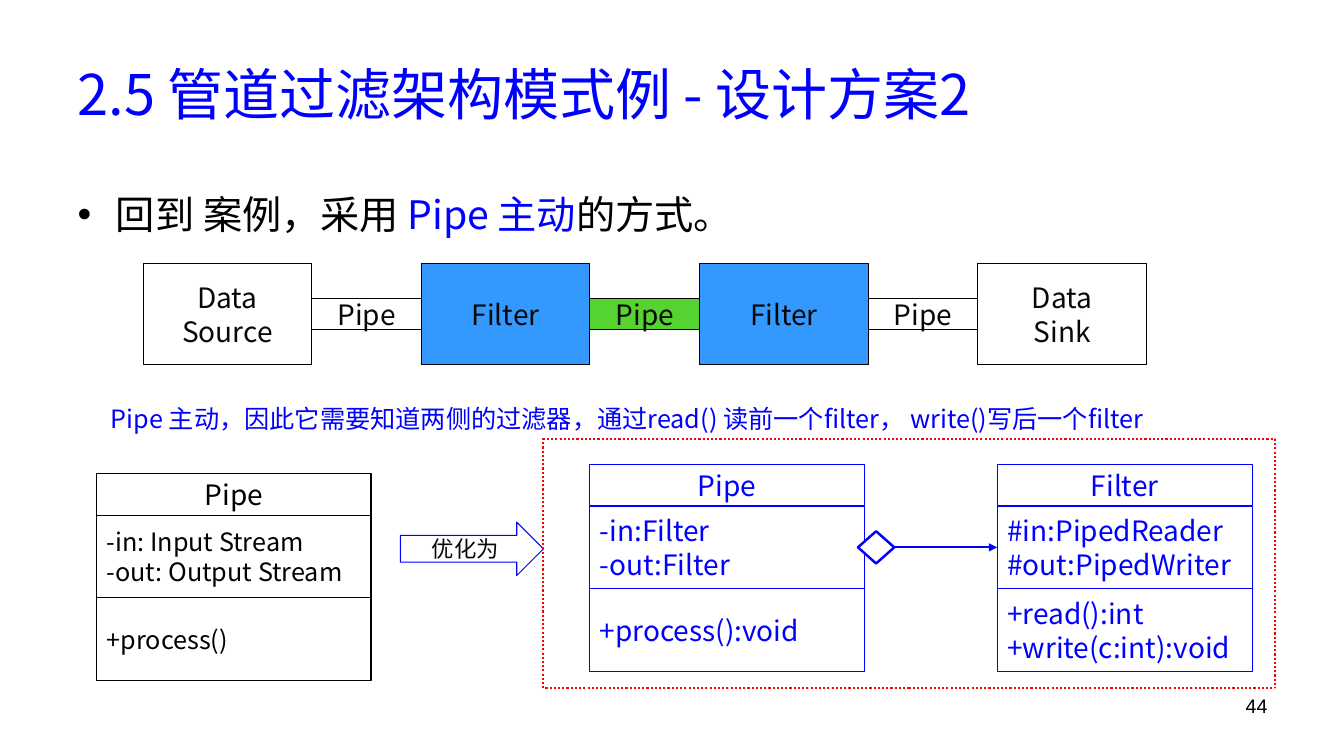
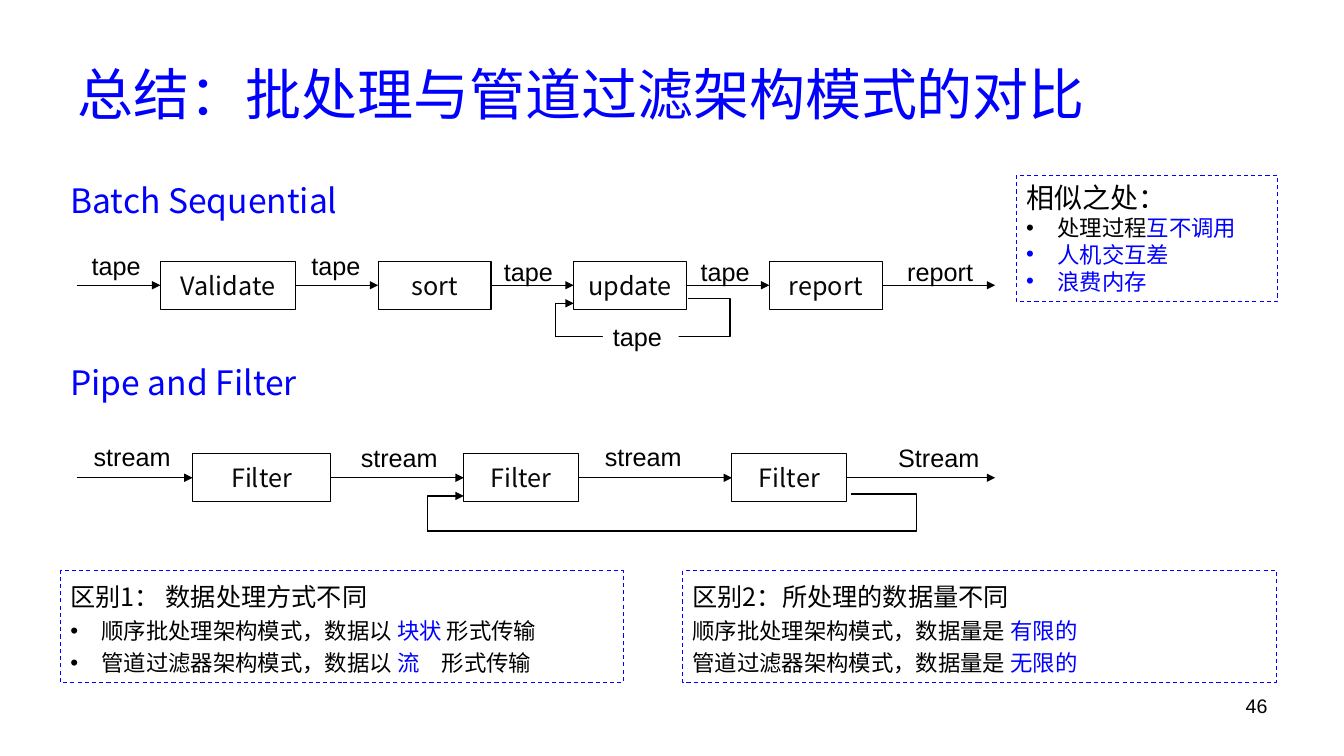
import pptx
import pptx.dml.color
import pptx.enum.dml
import pptx.enum.shapes
import pptx.enum.text
import pptx.oxml
import pptx.oxml.ns
import pptx.util
from pptx.util import Inches

CJK_FONT = "Noto Sans CJK SC"
LATIN_FONT = "Arial"
BLUE, BLACK, INK, WHITE = "0000FF", "000000", "080808", "FFFFFF"
FILTER_BLUE, PIPE_GREEN, RED = "3399FF", "55D331", "FF0000"

SHAPE = pptx.enum.shapes.MSO_SHAPE
CONNECTOR = pptx.enum.shapes.MSO_CONNECTOR
ALIGN = pptx.enum.text.PP_ALIGN
ANCHOR = pptx.enum.text.MSO_ANCHOR
DASH = pptx.enum.dml.MSO_LINE
TOP, LEFT, BOTTOM, RIGHT = range(4)


def apply(target, values):
    for name, value in values.items():
        setattr(target, name, value)


def place(shape, left, top, width, height):
    apply(shape, {"left": Inches(left), "top": Inches(top),
                  "width": Inches(width), "height": Inches(height)})


def rgb(color):
    return pptx.dml.color.RGBColor.from_string(color)


def add_element(parent, tag, **attributes):
    element = parent.makeelement(pptx.oxml.ns.qn(tag), attributes)
    parent.append(element)
    return element


def add_bullet(paragraph, indent):
    properties = paragraph._p.get_or_add_pPr()
    properties.set("marL", str(Inches(indent)))
    properties.set("indent", str(-Inches(indent)))
    add_element(properties, "a:buFont", typeface=LATIN_FONT)
    add_element(properties, "a:buChar", char="•")


def add_run(paragraph, text, size, color, font):
    run = paragraph.add_run()
    run.text = text
    apply(run.font, {"name": font, "size": pptx.util.Pt(size)})
    run.font.color.rgb = rgb(color)
    add_element(run._r.get_or_add_rPr(), "a:ea", typeface=font)


def write_text(shape, paragraphs, size, color, font=CJK_FONT, align=ALIGN.LEFT,
               anchor=ANCHOR.MIDDLE, spacing=1.0):
    """Fill a shape; a paragraph is a string or a dict with runs, size and indent.

    A run is a string in the common colour or a (text, colour) pair.
    """
    frame = shape.text_frame
    apply(frame, {"word_wrap": True, "vertical_anchor": anchor,
                  "auto_size": pptx.enum.text.MSO_AUTO_SIZE.NONE})
    for index, content in enumerate(paragraphs):
        if isinstance(content, str):
            content = {"runs": [content]}
        paragraph = frame.add_paragraph() if index else frame.paragraphs[0]
        apply(paragraph, {"alignment": align, "line_spacing": spacing,
                          "space_before": pptx.util.Pt(0)})
        if "indent" in content:
            add_bullet(paragraph, content["indent"])
        for run in content["runs"]:
            text, run_color = (run, color) if isinstance(run, str) else run
            add_run(paragraph, text, content.get("size", size), run_color, font)


def add_text(slide, box, text, size, color, font=CJK_FONT, align=ALIGN.LEFT):
    shape = slide.shapes.add_textbox(*map(Inches, box))
    write_text(shape, [text], size, color, font, align, ANCHOR.TOP)
    return shape


def add_box(slide, box, fill=WHITE, line=BLACK, line_width=0.75, dash=None,
            kind=SHAPE.RECTANGLE):
    shape = slide.shapes.add_shape(kind, *map(Inches, box))
    shape.shadow.inherit = False
    if fill:
        shape.fill.solid()
        shape.fill.fore_color.rgb = rgb(fill)
    else:
        shape.fill.background()
    shape.line.color.rgb = rgb(line)
    apply(shape.line, {"width": pptx.util.Pt(line_width), "dash_style": dash})
    return shape


def add_label_box(slide, box, lines, size, color=INK, **style):
    shape = add_box(slide, box, **style)
    write_text(shape, lines, size, color, align=ALIGN.CENTER)
    return shape


def add_connector(slide, start, end, color=BLACK, width=1, arrow=True,
                  kind=CONNECTOR.STRAIGHT):
    connector = slide.shapes.add_connector(kind, *map(Inches, (*start, *end)))
    connector.line.color.rgb = rgb(color)
    connector.line.width = pptx.util.Pt(width)
    if arrow:
        add_element(connector.line._get_or_add_ln(), "a:tailEnd", type="triangle")
    add_element(connector._element.spPr, "a:effectLst")
    return connector


def add_elbow(slide, start, end, via_x, arrow):
    """Draw an elbow whose vertical leg runs at via_x."""
    connector = add_connector(slide, start, end, arrow=arrow, kind=CONNECTOR.ELBOW)
    share = round((via_x - start[0]) / (end[0] - start[0]) * 100000)
    geometry = connector._element.spPr.find(pptx.oxml.ns.qn("a:prstGeom"))
    guides = geometry.find(pptx.oxml.ns.qn("a:avLst"))
    add_element(guides, "a:gd", name="adj1", fmla=f"val {share}")


def add_feedback(slide, start, right, bottom, left, end):
    """Lead an arrow out to the right, back below the boxes and into an earlier one."""
    corner = (left, bottom)
    add_elbow(slide, start, corner, right, arrow=False)
    add_elbow(slide, corner, end, left, arrow=True)


def add_class(slide, left, top, width, name, attributes, operations, color, size):
    """Draw a UML class and return its attribute compartment."""
    name_height, member_height = 0.41, 0.82
    add_label_box(slide, (left, top, width, name_height), [name], 20, color, line=color)
    compartments = []
    for index, members in enumerate((attributes, operations)):
        member_top = top + name_height + index * member_height
        shape = add_box(slide, (left, member_top, width, member_height), line=color)
        write_text(shape, members, size, color)
        compartments.append(shape)
    return compartments[0]


def add_flow(slide, top, steps, labels):
    """Draw a row of joined boxes with arrows in and out, and label the arrows."""
    height, start_x, end_x = 0.48, 0.76, 9.87
    middle = top + height / 2
    boxes = [add_label_box(slide, (left, top, width, height), [name], 18)
             for name, left, width in steps]
    for before, after in zip([None, *boxes], [*boxes, None]):
        connector = add_connector(slide, (start_x, middle), (end_x, middle))
        if before:
            connector.begin_connect(before, RIGHT)
        if after:
            connector.end_connect(after, LEFT)
    for text, left, label_top in labels:
        add_text(slide, (left, label_top, 1.1, 0.4), text, 18, BLACK, LATIN_FONT)


def add_note(slide, box, heading, heading_size, points, spacing=1.0, indent=None):
    shape = add_box(slide, box, fill=None, line=BLUE, dash=DASH.DASH)
    bullet = {"indent": indent} if indent else {}
    paragraphs = [{"runs": [heading], "size": heading_size}]
    paragraphs += [{"runs": runs, **bullet} for runs in points]
    write_text(shape, paragraphs, 16, BLACK, anchor=ANCHOR.TOP, spacing=spacing)


def add_slide(presentation, layout, title, number):
    slide = presentation.slides.add_slide(presentation.slide_layouts[layout])
    place(slide.shapes.title, 0.67, 0.3, 12, 1.25)
    write_text(slide.shapes.title, [title], 40, BLUE)
    add_text(slide, (9.56, 6.83, 3.11, 0.52), str(number), 14, BLACK,
             LATIN_FONT, ALIGN.RIGHT)
    return slide


def add_pipeline(slide):
    left, top, node_width, node_height = 1.42, 2.61, 1.67, 1.01
    pipe_width, pipe_height = 1.09, 0.3
    nodes = [(["Data", "Source"], WHITE), (["Filter"], FILTER_BLUE),
             (["Filter"], FILTER_BLUE), (["Data", "Sink"], WHITE)]
    for index, (lines, fill) in enumerate(nodes):
        node_left = left + index * (node_width + pipe_width)
        add_label_box(slide, (node_left, top, node_width, node_height), lines, 20,
                      fill=fill)
    pipe_top = top + (node_height - pipe_height) / 2
    for index, fill in enumerate((WHITE, PIPE_GREEN, WHITE)):
        pipe_left = left + node_width + index * (node_width + pipe_width)
        add_label_box(slide, (pipe_left, pipe_top, pipe_width, pipe_height), ["Pipe"],
                      20, fill=fill)


def build_active_pipe_slide(presentation):
    slide = add_slide(presentation, 1, "2.5 管道过滤架构模式例 - 设计方案2", 44)
    body = slide.placeholders[1]
    place(body, 0.67, 1.84, 12, 4.86)
    write_text(body, [{"runs": ["回到 案例，采用 ", ("Pipe 主动", BLUE), "的方式。"],
                       "indent": 0.38}], 28, BLACK, anchor=ANCHOR.TOP)
    add_pipeline(slide)
    add_text(slide, (1, 3.95, 10.93, 0.4),
             "Pipe 主动，因此它需要知道两侧的过滤器，通过read() 读前一个filter， "
             "write()写后一个filter", 18, BLUE)

    add_class(slide, 0.96, 4.7, 2.72, "Pipe",
              ["-in: Input Stream", "-out: Output Stream"], ["+process()"], BLACK, 18)
    add_label_box(slide, (3.97, 5.18, 1.42, 0.53), ["优化为"], 16, line=BLUE,
                  kind=SHAPE.RIGHT_ARROW)
    add_class(slide, 5.85, 4.61, 2.72, "Pipe", ["-in:Filter", "-out:Filter"],
              ["+process():void"], BLUE, 20)
    filter_attributes = add_class(
        slide, 9.89, 4.61, 2.53, "Filter", ["#in:PipedReader", "#out:PipedWriter"],
        ["+read():int", "+write(c:int):void"], BLUE, 20)
    diamond = add_box(slide, (8.51, 5.27, 0.36, 0.32), line=BLUE, line_width=1.75,
                      kind=SHAPE.FLOWCHART_DECISION)
    aggregation = add_connector(slide, (8.87, 5.43), (9.89, 5.43), BLUE, 1.5)
    aggregation.begin_connect(diamond, RIGHT)
    aggregation.end_connect(filter_attributes, LEFT)
    add_box(slide, (5.39, 4.36, 7.26, 2.47), fill=None, line=RED, line_width=1.5,
            dash=DASH.ROUND_DOT)


def build_comparison_slide(presentation):
    slide = add_slide(presentation, 5, "总结：批处理与管道过滤架构模式的对比", 46)
    for heading, top in (("Batch Sequential", 1.74), ("Pipe and Filter", 3.54)):
        add_text(slide, (0.6, top, 3.98, 0.5), heading, 24, BLUE)

    add_flow(slide, 2.59,
             [("Validate", 1.59, 1.34), ("sort", 3.75, 1.12),
              ("update", 5.69, 1.12), ("report", 7.63, 1.12)],
             [("tape", 0.81, 2.43), ("tape", 2.99, 2.43), ("tape", 4.9, 2.49),
              ("tape", 6.85, 2.49), ("report", 8.9, 2.49)])
    add_feedback(slide, (6.82, 2.96), 7.24, 3.34, 5.51, (5.69, 3.01))
    loop_label = add_text(slide, (5.98, 3.14, 0.75, 0.4), "tape", 18, BLACK, LATIN_FONT)
    loop_label.fill.solid()
    loop_label.fill.fore_color.rgb = rgb(WHITE)

    add_flow(slide, 4.5,
             [("Filter", 1.91, 1.37), ("Filter", 4.6, 1.14), ("Filter", 7.26, 1.14)],
             [("stream", 0.83, 4.33), ("stream", 3.48, 4.34),
              ("stream", 5.9, 4.33), ("Stream", 8.81, 4.34)])
    add_feedback(slide, (8.44, 4.9), 9.09, 5.27, 4.24, (4.6, 4.92))

    add_note(slide, (10.08, 1.74, 2.59, 1.25), "相似之处：", 20,
             [["处理过程", ("互不调用", BLUE)], [("人机交互差", BLUE)],
              [("浪费内存", BLUE)]], indent=0.31)
    add_note(slide, (0.6, 5.66, 5.58, 1.11), "区别1： 数据处理方式不同", 18,
             [["顺序批处理架构模式，数据以 ", ("块状", BLUE), " 形式传输"],
              ["管道过滤器架构模式，数据以 ", ("流", BLUE), "　形式传输"]],
             spacing=1.2, indent=0.31)
    add_note(slide, (6.77, 5.66, 5.89, 1.11), "区别2：所处理的数据量不同", 18,
             [["顺序批处理架构模式，数据量是 ", ("有限的", BLUE)],
              ["管道过滤器架构模式，数据量是 ", ("无限的", BLUE)]], spacing=1.2)


def main():
    presentation = pptx.Presentation()
    apply(presentation, {"slide_width": Inches(13.33), "slide_height": Inches(7.5)})
    build_active_pipe_slide(presentation)
    build_comparison_slide(presentation)
    presentation.save("out.pptx")


if __name__ == "__main__":
    main()
